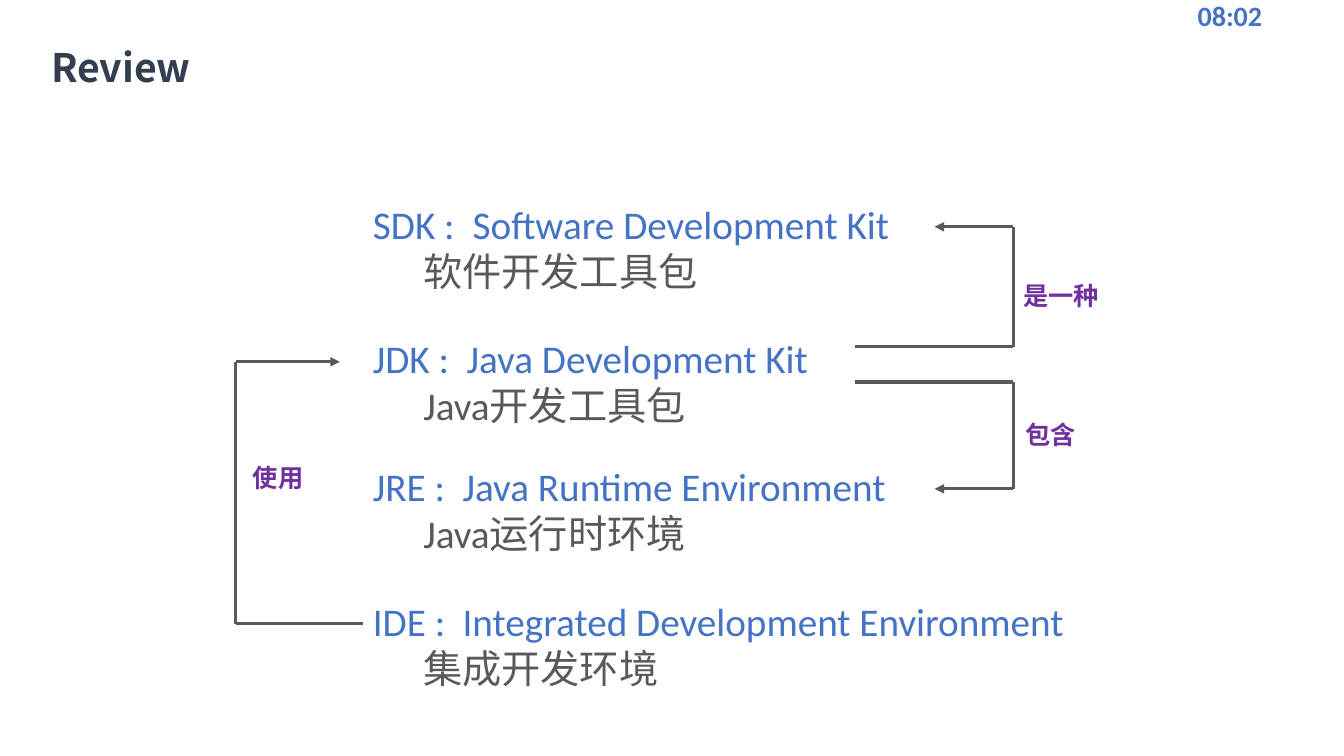
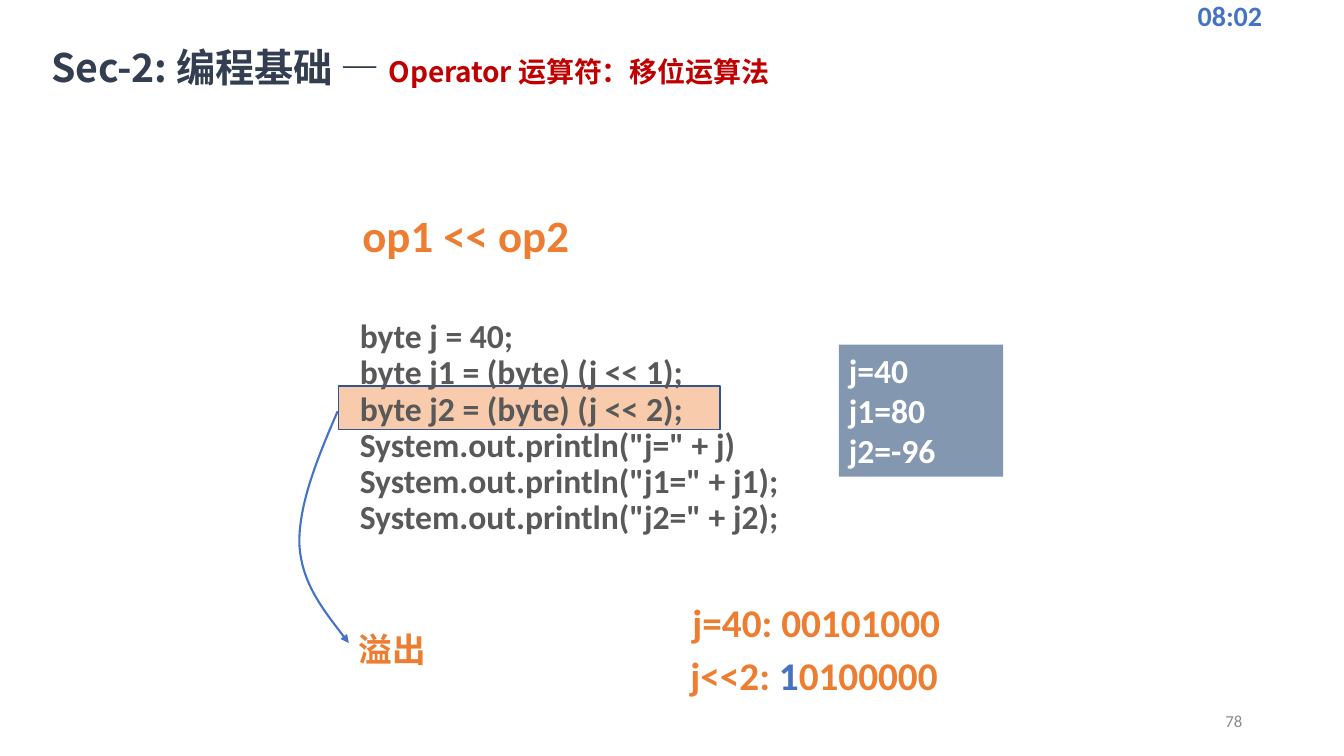
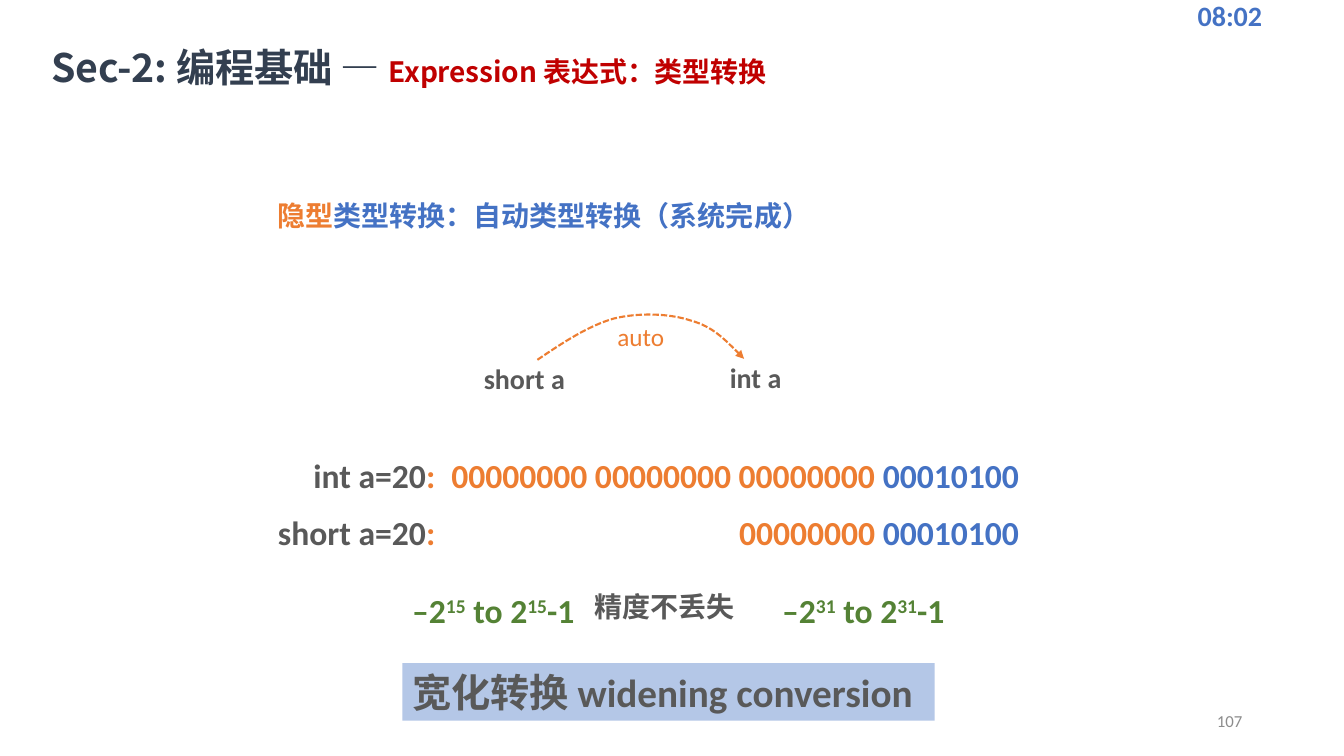
import pptx
import pptx.dml.color
import pptx.enum.dml
import pptx.enum.shapes
import pptx.enum.text
import pptx.oxml.ns
import pptx.util
import lxml.etree

SCALE = 9144
qn = pptx.oxml.ns.qn
RGBColor = pptx.dml.color.RGBColor
BLUE = RGBColor(0x44, 0x72, 0xC4)
GRAY = RGBColor(0x59, 0x59, 0x59)
LIGHT_GRAY = RGBColor(0x8C, 0x8C, 0x8C)
PURPLE = RGBColor(0x70, 0x30, 0xA0)
NAVY = RGBColor(0x33, 0x3F, 0x50)
RED = RGBColor(0xC0, 0x00, 0x00)
ORANGE = RGBColor(0xED, 0x7D, 0x31)
GREEN = RGBColor(0x54, 0x82, 0x35)
WHITE = RGBColor(0xFF, 0xFF, 0xFF)
PEACH = RGBColor(0xF8, 0xCB, 0xAD)
DARK_BLUE = RGBColor(0x32, 0x54, 0x91)
SLATE = RGBColor(0x84, 0x97, 0xB0)
PALE_BLUE = RGBColor(0xB4, 0xC7, 0xE7)
LATIN = "Calibri"
CJK = "Noto Sans CJK SC"
RECTANGLE = pptx.enum.shapes.MSO_SHAPE.RECTANGLE
LEFT, CENTER, RIGHT = (pptx.enum.text.PP_ALIGN.LEFT, pptx.enum.text.PP_ALIGN.CENTER,
                       pptx.enum.text.PP_ALIGN.RIGHT)
TOP, MIDDLE = pptx.enum.text.MSO_ANCHOR.TOP, pptx.enum.text.MSO_ANCHOR.MIDDLE


def to_emu(*lengths):
    return [round(length * SCALE) for length in lengths]


def add_text(slide, bounds, paragraphs, shape=None, fill=None, size=20, color=GRAY, font=LATIN,
             bold=True, align=LEFT, anchor=TOP, insets=(10, 5, 10, 5), line_spacing=None,
             indents=None, tabs=(), spacing=None):
    if shape is None and fill is None:
        shape = slide.shapes.add_textbox(*to_emu(*bounds))
    elif shape is None:
        shape = slide.shapes.add_shape(RECTANGLE, *to_emu(*bounds))
        shape.shadow.inherit = False
        shape.fill.solid()
        shape.fill.fore_color.rgb = fill
        shape.line.fill.background()
    frame = shape.text_frame
    frame.word_wrap = True
    frame.vertical_anchor = anchor
    frame.margin_left, frame.margin_top, frame.margin_right, frame.margin_bottom = to_emu(*insets)
    for index, runs in enumerate(paragraphs):
        paragraph = frame.add_paragraph() if index else frame.paragraphs[0]
        properties = paragraph._p.get_or_add_pPr()
        if indents:
            properties.set("marL", str(indents[index] * SCALE))
        if tabs:
            tab_list = lxml.etree.SubElement(properties, qn("a:tabLst"))
            for position, kind in tabs:
                lxml.etree.SubElement(tab_list, qn("a:tab"), pos=str(position * SCALE), algn=kind)
        paragraph.alignment = align
        if line_spacing:
            paragraph.line_spacing = line_spacing
        for text, changes in [(runs, {})] if isinstance(runs, str) else runs:
            run = paragraph.add_run()
            run.text = text
            run.font.size = pptx.util.Pt(changes.get("size", size))
            run.font.bold = bold
            run.font.color.rgb = changes.get("color", color)
            run.font.name = font
            run_properties = run.font._element
            east_asian = lxml.etree.Element(qn("a:ea"), typeface=CJK)
            run_properties.find(qn("a:latin")).addnext(east_asian)
            if spacing:
                run_properties.set("spc", str(spacing))
            if "baseline" in changes:
                run_properties.set("baseline", changes["baseline"])
    return shape


presentation = pptx.Presentation()
presentation.slide_width, presentation.slide_height = to_emu(1333, 750)
blank_layout = presentation.slide_layouts[6]
strokes = []

for title, topic, number in (
    ("Review", None, None),
    ("Sec-2: 编程基础 — ", "Operator 运算符：移位运算法", "78"),
    ("Sec-2: 编程基础 — ", "Expression 表达式：类型转换", "107"),
):
    slide = presentation.slides.add_slide(blank_layout)
    heading = [(title, {})]
    if topic:
        heading.append((topic, {"size": 20, "color": RED}))
        add_text(slide, (942, 695, 300, 40), [number], size=12, color=LIGHT_GRAY, bold=False,
                 align=RIGHT, anchor=MIDDLE)
    add_text(slide, (50, 42, 766, 48), [heading], size=28, color=NAVY, font=CJK,
             insets=(1, 1, 0, 0), spacing=-10)

review_slide, shift_slide, conversion_slide = presentation.slides

clock = add_text(review_slide, (1178, -5, 178, 40), ["08:02"], color=BLUE, anchor=MIDDLE)
presentation.slide_master.shapes.element.append(clock.element)

for top, short_name, full_name, translation, tab in (
    (194, "SDK :", "Software Development Kit", "软件开发工具包", 99),
    (327, "JDK :", "Java Development Kit", "Java开发工具包", 93),
    (454, "JRE :", "Java Runtime Environment", "Java运行时环境", 89),
    (588, "IDE :", "Integrated Development Environment", "集成开发环境", 89),
):
    add_text(review_slide, (360, top, 858, 104),
             [f"{short_name}\t{full_name}", [(translation, {"color": GRAY})]],
             size=28, color=BLUE, bold=False, indents=(0, 50), tabs=[(tab, "l")])

for label, label_bounds, points in (
    ("是一种", (1005, 273, 165, 40), ((848, 344), (1005, 344), (1005, 225), (927, 225))),
    ("包含", (1007, 411, 165, 40), ((848, 379), (1005, 379), (1005, 485), (927, 485))),
    ("使用", (241, 454, 87, 40), ((360, 619), (234, 619), (234, 359), (337, 359))),
):
    for start, end in zip(points, points[1:]):
        connector = review_slide.shapes.add_connector(
            pptx.enum.shapes.MSO_CONNECTOR.STRAIGHT, *to_emu(*start, *end))
        strokes.append((connector, GRAY, 2.25, end == points[-1]))
    add_text(review_slide, label_bounds, [label], size=18, color=PURPLE)

highlight = add_text(shift_slide, (336, 383, 378, 43), [], fill=PEACH)
highlight.line.color.rgb = DARK_BLUE
highlight.line.width = pptx.util.Pt(1)
add_text(shift_slide, (336, 201, 252, 64), ["op1 << op2"], size=32, color=ORANGE, align=CENTER)
add_text(shift_slide, (347, 312, 674, 228), [
    "byte j = 40;",
    "byte j1 = (byte) (j << 1);",
    "byte j2 = (byte) (j << 2);",
    'System.out.println("j=" + j)',
    'System.out.println("j1=" + j1);',
    'System.out.println("j2=" + j2);',
], size=24, line_spacing=0.9)
add_text(shift_slide, (832, 342, 163, 131), ["j=40", "j1=80", "j2=-96"],
         fill=SLATE, size=24, color=WHITE)
add_text(shift_slide, (346, 619, 202, 50), ["溢出"], size=24, color=ORANGE, font=CJK)
add_text(shift_slide, (677, 589, 294, 57), ["j=40: 00101000"], size=28, color=ORANGE)
add_text(shift_slide, (675, 641, 294, 57),
         [[("j<<2: ", {}), ("1", {"color": BLUE}), ("0100000", {})]], size=28, color=ORANGE)

add_text(conversion_slide, (265, 192, 835, 44),
         [[("隐型", {"color": ORANGE}), ("类型转换：自动类型转换（系统完成）", {})]],
         color=BLUE, font=CJK)
add_text(conversion_slide, (470, 354, 126, 44), ["short a"])
add_text(conversion_slide, (714, 353, 126, 44), ["int a"])
add_text(conversion_slide, (580, 580, 165, 44), ["精度不丢失"], font=CJK)
for left, exponent in ((399, "15"), (766, "31")):
    power = (exponent, {"baseline": "30000"})
    add_text(conversion_slide, (left, 580, 196, 50),
             [[("–2", {}), power, (" to 2", {}), power, ("-1", {})]], size=24, color=GREEN)
for top, declaration, padding in (
    (446, "int a=20", "00000000 00000000 00000000 "),
    (503, "short a=20", "00000000 "),
):
    add_text(conversion_slide, (249, top, 780, 50),
             [[("\t" + declaration, {}), (":\t" + padding, {"color": ORANGE}),
               ("00010100", {"color": BLUE})]],
             size=24, tabs=[(173, "r"), (752, "r")])
add_text(conversion_slide, (399, 658, 528, 57), ["宽化转换 widening conversion"],
         fill=PALE_BLUE, size=28)

for slide, color, dash, label, start, controls in (
    (shift_slide, BLUE, None, None, (335, 408),
     [(315, 454), (296, 501), (297, 540), (299, 578), (323, 608), (346, 638)]),
    (conversion_slide, ORANGE, pptx.enum.dml.MSO_LINE.SQUARE_DOT, "auto", (533, 357),
     [(558, 340), (584, 323), (609, 316), (634, 310), (664, 311), (685, 318),
      (707, 324), (722, 340), (738, 356)]),
):
    builder = slide.shapes.build_freeform(*start, scale=SCALE)
    builder.add_line_segments(controls, close=False)
    curve = builder.convert_to_shape()
    curve.shadow.inherit = False
    curve.fill.background()
    outline = next(curve.element.iter(qn("a:path")))
    segments = outline.findall(qn("a:lnTo"))
    for first in range(0, len(segments), 3):
        bezier = lxml.etree.SubElement(outline, qn("a:cubicBezTo"))
        for segment in segments[first:first + 3]:
            bezier.append(segment[0])
            outline.remove(segment)
    if dash:
        curve.line.dash_style = dash
    if label:
        add_text(slide, None, [label], shape=curve, size=18, color=color, bold=False,
                 align=CENTER, anchor=MIDDLE)
    strokes.append((curve, color, 1.5, True))

for stroke, color, width, has_arrow in strokes:
    stroke.line.color.rgb = color
    stroke.line.width = pptx.util.Pt(width)
    shape_properties = stroke.element.spPr
    if has_arrow:
        lxml.etree.SubElement(shape_properties.find(qn("a:ln")), qn("a:tailEnd"), type="triangle")
    if shape_properties.find(qn("a:effectLst")) is None:
        lxml.etree.SubElement(shape_properties, qn("a:effectLst"))

presentation.save("out.pptx")
